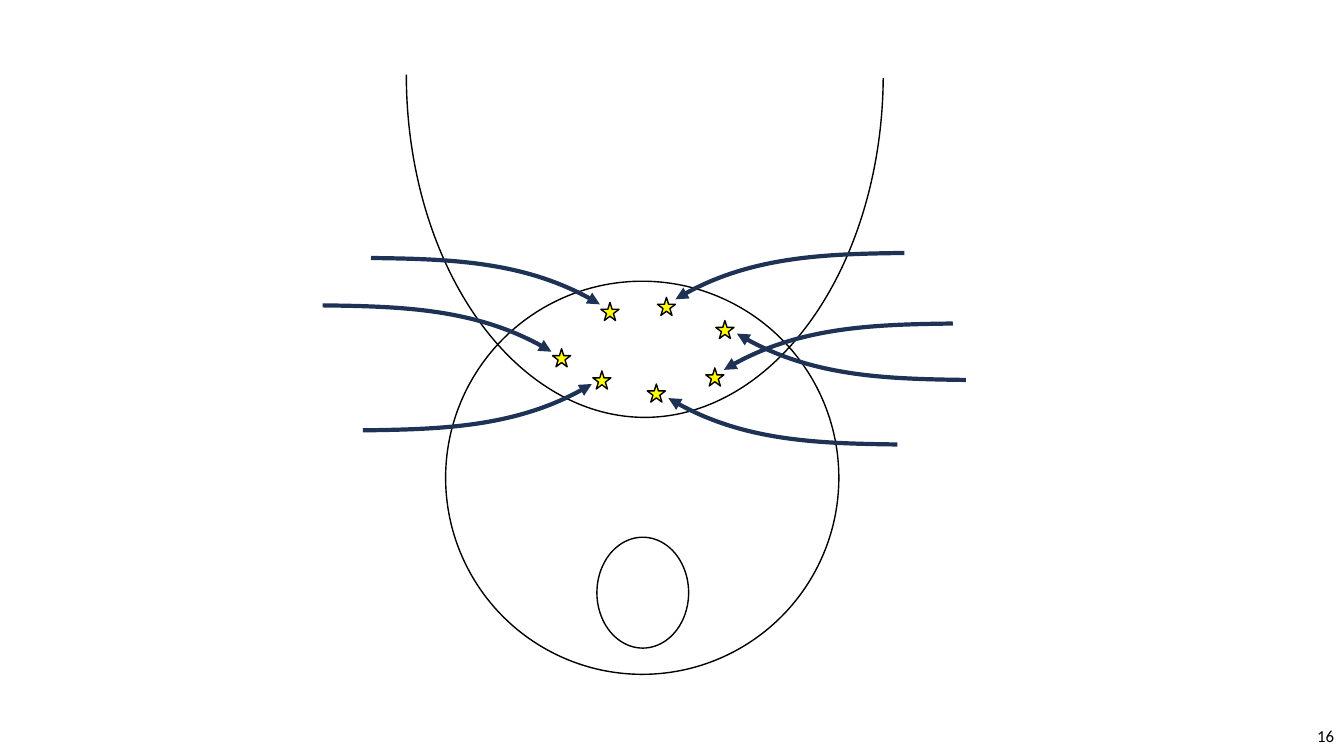
from lxml import etree
from pptx import Presentation
from pptx.dml.color import RGBColor
from pptx.enum.shapes import MSO_SHAPE
from pptx.enum.text import MSO_ANCHOR, PP_ALIGN
from pptx.oxml.ns import qn
from pptx.util import Inches, Pt

ELLIPSE, ARC, STAR = MSO_SHAPE.OVAL, MSO_SHAPE.ARC, MSO_SHAPE.STAR_5_POINT
MIDDLE, RIGHT = MSO_ANCHOR.MIDDLE, PP_ALIGN.RIGHT
COLORS = {"black": "000000", "white": "FFFFFF", "yellow": "FFFF00", "navy": "1E3256"}
STAR_SIZE = 0.18
CURVE = [(0.76, 0.01), (1.57, 0.03), (2.27, 0.46)]
MARKERS = [
    ((5.96, 3.00), (3.68, 2.56), 1, 1),
    ((5.88, 3.68), (3.60, 4.27), 1, -1),
    ((5.48, 3.46), (3.20, 3.03), 1, 1),
    ((6.42, 3.81), (8.90, 4.41), -1, -1),
    ((6.52, 2.95), (8.97, 2.51), -1, 1),
    ((7.00, 3.65), (9.45, 3.21), -1, 1),
    ((7.10, 3.18), (9.58, 3.77), -1, -1),
]


def color(name):
    """Return the named palette colour."""
    return RGBColor.from_string(COLORS[name])


def style(shape, fill, line, width):
    """Set fill and outline and remove the shadow."""
    shape.shadow.inherit = False
    if fill:
        shape.fill.solid()
        shape.fill.fore_color.rgb = color(fill)
    else:
        shape.fill.background()
    shape.line.color.rgb = color(line)
    shape.line.width = Pt(width)


def add_outline(shapes, kind, left, top, width, height, fill=None):
    """Add a preset shape with a thin black outline."""
    shape = shapes.add_shape(kind, Inches(left), Inches(top), Inches(width), Inches(height))
    style(shape, fill, "black", 1)
    return shape


def add_curved_arrow(shapes, start, across, down):
    """Add a curved arrow from start, mirrored by the signs across and down."""
    left, top = start
    points = [(Inches(left + across * x), Inches(top + down * y)) for x, y in CURVE]
    builder = shapes.build_freeform(Inches(left), Inches(top))
    builder.add_line_segments(points, close=False)
    arrow = builder.convert_to_shape()
    style(arrow, None, "navy", 3)
    outline = arrow.line._get_or_add_ln()
    etree.SubElement(outline, qn("a:tailEnd"), type="triangle")
    segments = list(arrow._element.iter(qn("a:lnTo")))
    curve = etree.SubElement(segments[0].getparent(), qn("a:cubicBezTo"))
    for segment in segments:
        curve.append(segment[0])
        segment.getparent().remove(segment)


def add_marker(slide, star, start, across, down):
    """Add a star grouped with the arrow that points to it."""
    group = slide.shapes.add_group_shape()
    add_outline(group.shapes, STAR, *star, STAR_SIZE, STAR_SIZE, "yellow")
    add_curved_arrow(group.shapes, start, across, down)


def add_page_number(slide, number):
    """Add the page number at the lower right."""
    box = slide.shapes.add_textbox(Inches(10.33), Inches(7.1), Inches(3), Inches(0.4))
    frame = box.text_frame
    frame.word_wrap = True
    frame.vertical_anchor = MIDDLE
    frame.text = number
    paragraph = frame.paragraphs[0]
    paragraph.alignment = RIGHT
    font = paragraph.runs[0].font
    font.name = "Calibri"
    font.size = Pt(12)
    font.color.rgb = color("black")


def main():
    """Build the slide and save it."""
    presentation = Presentation()
    presentation.slide_width = Inches(13.33)
    presentation.slide_height = Inches(7.5)
    slide = presentation.slides.add_slide(presentation.slide_layouts[6])
    add_page_number(slide, "16")
    add_outline(slide.shapes, ELLIPSE, 4.42, 2.79, 3.9, 3.9, "white")
    add_outline(slide.shapes, ELLIPSE, 5.92, 5.33, 0.91, 1.1, "white")
    arc = add_outline(slide.shapes, ARC, 4.03, -2.66, 4.73, 6.8)
    arc.rotation = 180
    arc.adjustments[0] = 108.51
    arc.adjustments[1] = 0
    for marker in MARKERS:
        add_marker(slide, *marker)
    presentation.save("out.pptx")


if __name__ == "__main__":
    main()
